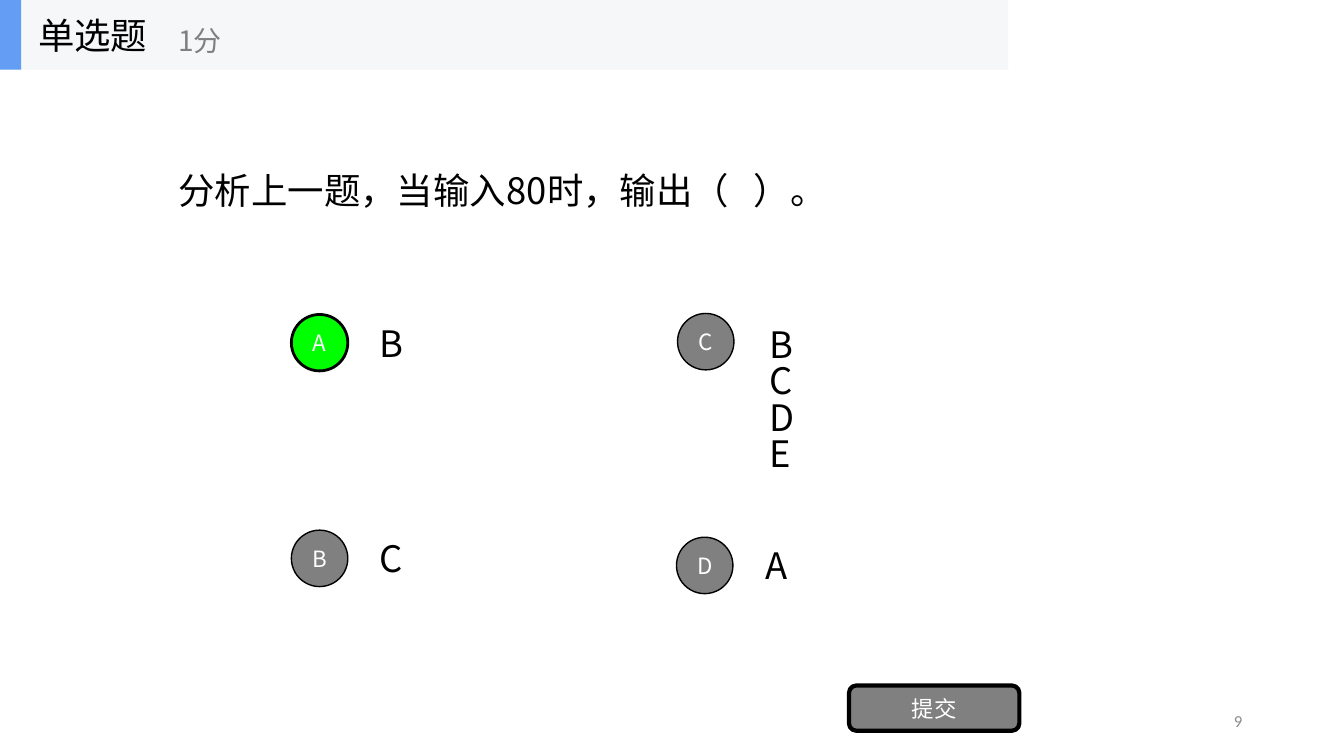
import pptx
import pptx.util
import pptx.dml.color
import pptx.enum.shapes
import pptx.enum.text
import pptx.oxml.ns
from lxml import etree

Inches, Pt = pptx.util.Inches, pptx.util.Pt
SHAPE = pptx.enum.shapes.MSO_SHAPE
ALIGN = pptx.enum.text.PP_ALIGN
CJK = "Noto Sans CJK SC"
BLACK, GREY, WHITE = "000000", "808080", "FFFFFF"

# Content
KIND, SCORE = "单选题", "1分"
QUESTION = "分析上一题，当输入80时，输出（   ）。"
SUBMIT, PAGE = "提交", "9"
CORRECT = "A"
# letter, badge left and top, answer lines, answer box
OPTIONS = [
    ("A", (2.89, 3.12), ["B"], (3.67, 3.05, 0.84, 0.7)),
    ("B", (2.89, 5.26), ["C"], (3.67, 5.19, 0.54, 0.7)),
    ("C", (6.72, 3.11), ["B", "C", "D", "E"], (7.53, 3.17, 1.01, 1.64)),
    ("D", (6.71, 5.33), ["A"], (7.49, 5.26, 0.54, 0.7)),
]
BADGE = 0.56


def rgb(hex_color):
    return pptx.dml.color.RGBColor.from_string(hex_color)


def write(s, lines, size, color, align=ALIGN.LEFT, font=CJK, wrap=True, spacing=None):
    tf = s.text_frame
    tf.auto_size = pptx.enum.text.MSO_AUTO_SIZE.NONE
    tf.word_wrap = wrap
    tf.vertical_anchor = pptx.enum.text.MSO_ANCHOR.MIDDLE
    for i, line in enumerate(lines):
        p = tf.add_paragraph() if i else tf.paragraphs[0]
        p.alignment = align
        if spacing:
            p.line_spacing = spacing
        r = p.add_run()
        r.text = line
        r.font.size = Pt(size)
        r.font.name = font
        r.font.color.rgb = rgb(color)
        # East Asian text takes its own typeface element
        ea = etree.Element(pptx.oxml.ns.qn("a:ea"), typeface=font)
        r.font._element.find(pptx.oxml.ns.qn("a:latin")).addnext(ea)


def add_text(shapes, box, lines, size, color, **style):
    s = shapes.add_textbox(*map(Inches, box))
    write(s, lines, size, color, **style)


def add_block(shapes, kind, box, fill, line_width=0):
    s = shapes.add_shape(kind, *map(Inches, box))
    s.shadow.inherit = False
    s.fill.solid()
    s.fill.fore_color.rgb = rgb(fill)
    if line_width:
        s.line.color.rgb = rgb(BLACK)
        s.line.width = Pt(line_width)
    else:
        s.line.fill.background()
    return s


def add_button(shapes, kind, box, label, fill, line_width):
    s = add_block(shapes, kind, box, fill, line_width)
    tf = s.text_frame
    tf.margin_left = tf.margin_right = tf.margin_top = tf.margin_bottom = 0
    write(s, [label], 16, WHITE, align=ALIGN.CENTER)


prs = pptx.Presentation()
prs.slide_width, prs.slide_height = Inches(13.33), Inches(7.5)
slide = prs.slides.add_slide(prs.slide_layouts[5])
shapes = slide.shapes

# Page number and question
add_text(shapes, (9.42, 6.95, 3, 0.4), [PAGE], 12, "8C8C8C",
         align=ALIGN.RIGHT, font="Calibri")
title = shapes.title
title.left, title.top, title.width, title.height = map(Inches, (1.67, 0.71, 8, 2.34))
write(title, [QUESTION], 26, BLACK)

# Options
for letter, corner, answer, box in OPTIONS:
    add_text(shapes, box, answer, 26, BLACK, spacing=0.83 if len(answer) > 1 else None)
    fill, line_width = ("00FF00", 2) if letter == CORRECT else (GREY, 1)
    add_button(shapes, SHAPE.OVAL, (*corner, BADGE, BADGE), letter, fill, line_width)

# Submit button
add_button(shapes, SHAPE.ROUNDED_RECTANGLE, (8.42, 6.8, 1.69, 0.45), SUBMIT, GREY, 3)

# Header
header = shapes.add_group_shape().shapes
add_block(header, SHAPE.RECTANGLE, (0, 0, 10, 0.69), "F6F7F8")
add_block(header, SHAPE.RECTANGLE, (0, 0, 0.21, 0.69), "639EF4")
add_text(header, (0.28, 0, 2.08, 0.69), [KIND], 26, BLACK, wrap=False)
add_text(header, (1.67, 0.12, 2.5, 0.56), [SCORE], 20, GREY, wrap=False)

prs.save("out.pptx")
